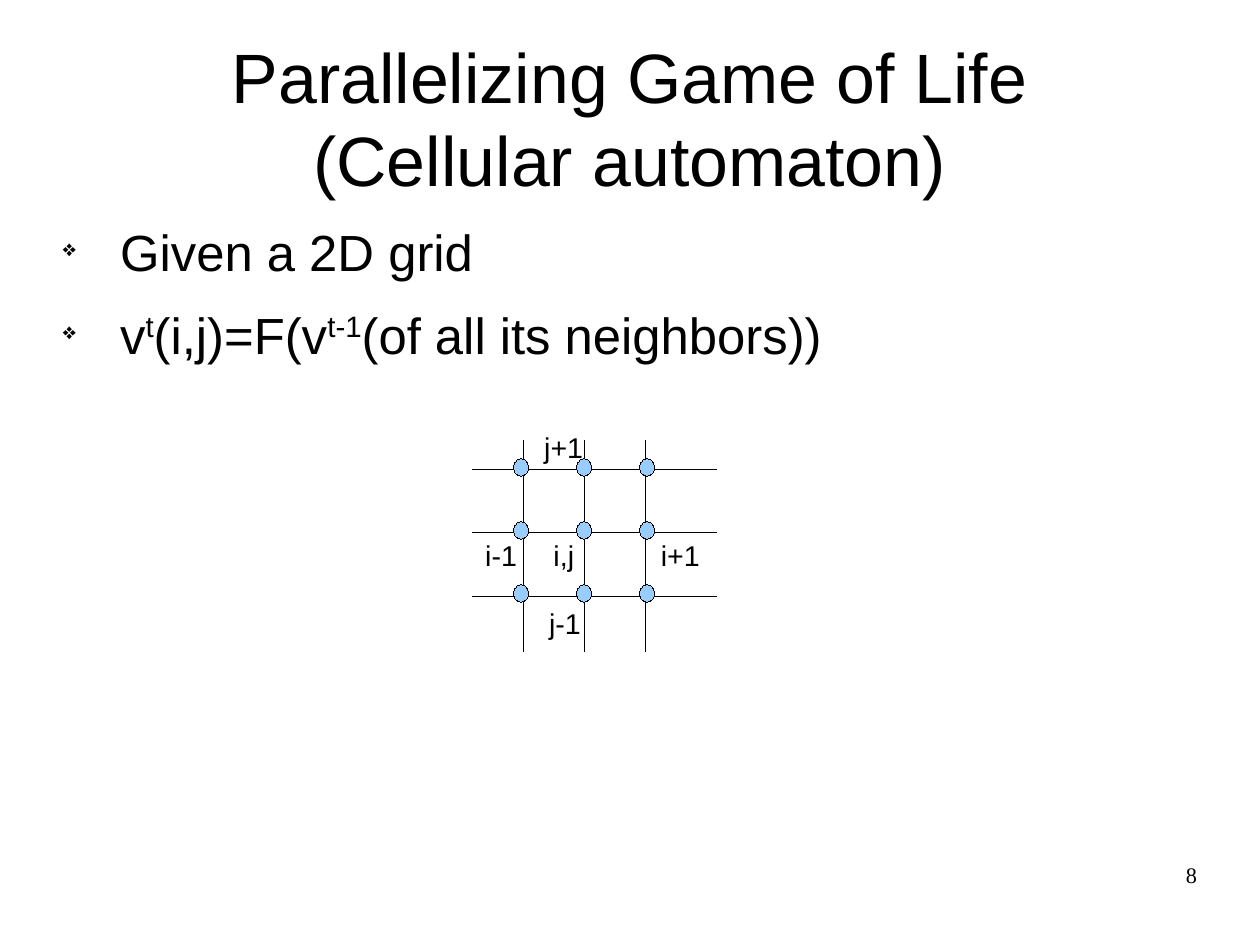
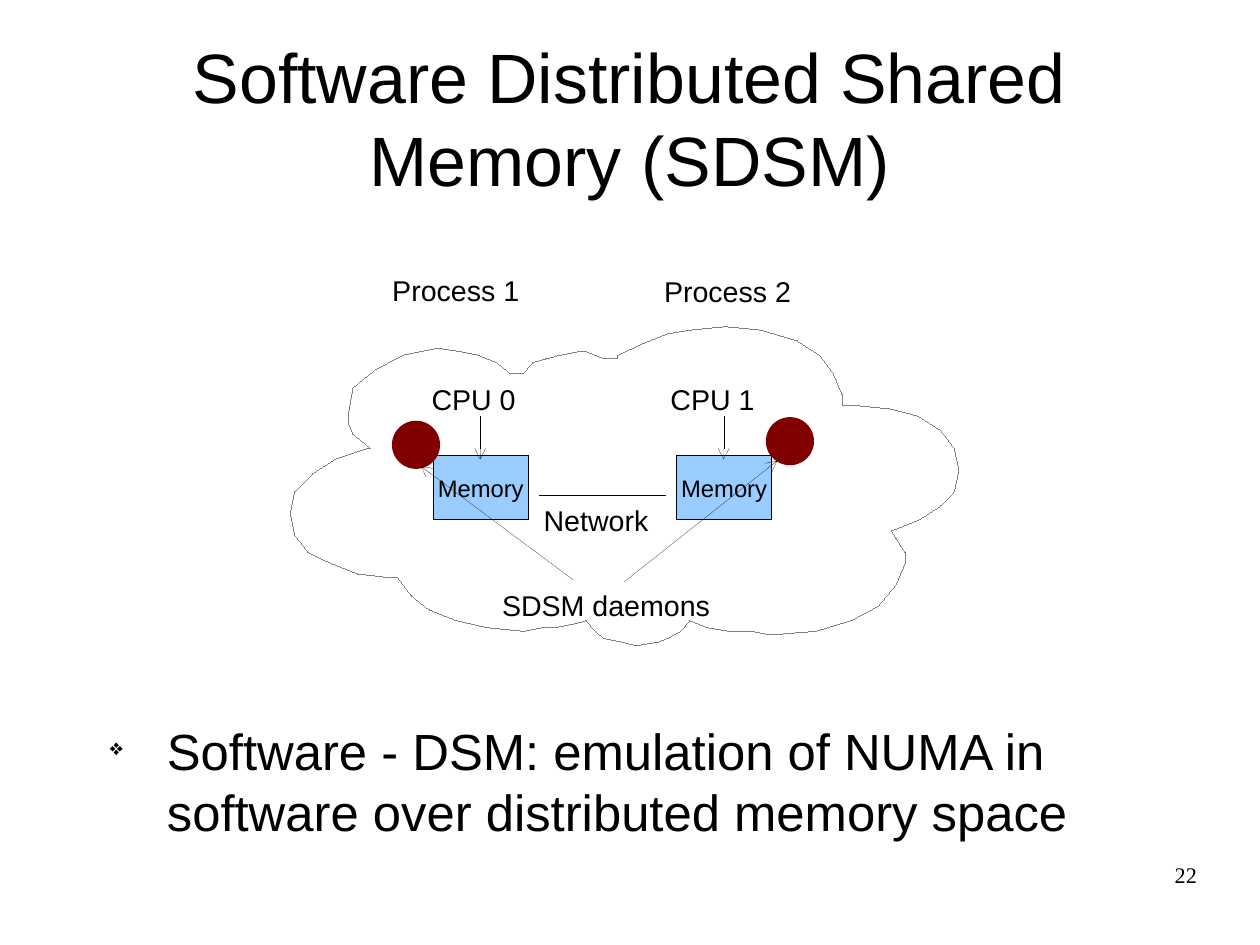
from lxml import etree
from pptx import Presentation
from pptx.dml.color import RGBColor
from pptx.enum.shapes import MSO_CONNECTOR, MSO_SHAPE
from pptx.enum.text import MSO_ANCHOR, MSO_AUTO_SIZE, PP_ALIGN
from pptx.oxml.ns import qn
from pptx.util import Cm, Pt

LINE = MSO_CONNECTOR.STRAIGHT
OVAL, RECT = MSO_SHAPE.OVAL, MSO_SHAPE.RECTANGLE
LEFT, MID, RIGHT = PP_ALIGN.LEFT, PP_ALIGN.CENTER, PP_ALIGN.RIGHT
CENTER, TOP = MSO_ANCHOR.MIDDLE, MSO_ANCHOR.TOP
GROW = MSO_AUTO_SIZE.SHAPE_TO_FIT_TEXT

HEX = {"ink": "000000", "blue": "99CCFF", "red": "800000", "gray": "808080"}
SANS, SERIF = "Arial", "Times New Roman"

CLOUD = [
    (134, 57), (135, 59), (136, 61), (137, 63), (137, 66), (135, 72),
    (131, 78), (125, 82), (117, 85), (107, 86), (103, 85), (98, 85),
    (93, 84), (89, 82), (87, 85), (84, 87), (82, 88), (77, 89), (74, 88),
    (70, 87), (68, 85), (66, 82), (63, 83), (59, 84), (56, 84), (52, 85),
    (44, 84), (37, 82), (31, 79), (27, 75), (24, 70), (22, 70), (15, 69),
    (9, 66), (4, 63), (1, 58), (0, 52), (1, 46), (5, 41), (10, 37),
    (17, 34), (18, 34), (16, 32), (14, 30), (13, 27), (13, 24), (14, 17),
    (19, 12), (25, 8), (33, 6), (38, 7), (42, 8), (46, 10), (49, 13),
    (52, 13), (54, 10), (57, 9), (60, 8), (64, 7), (66, 7), (68, 8),
    (70, 9), (73, 9), (73, 8), (78, 5), (84, 2), (89, 1), (97, 0),
    (105, 1), (113, 4), (118, 8), (121, 13), (123, 19), (123, 22),
    (126, 22), (134, 23), (140, 25), (145, 29), (148, 34), (149, 40),
    (148, 46), (145, 50), (140, 54),
]


def color(name):
    return RGBColor.from_string(HEX[name])


def style(para, size, align, font=SANS):
    para.alignment = align
    for run in para.runs:
        run.font.size = Pt(size)
        run.font.name = font
        run.font.color.rgb = color("ink")


def frame(slide, x, y, w, h, anchor=TOP):
    text = slide.shapes.add_textbox(Cm(x), Cm(y), Cm(w), Cm(h)).text_frame
    text.word_wrap = True
    text.vertical_anchor = anchor
    text.margin_left = text.margin_right = Cm(0)
    text.margin_top = text.margin_bottom = Cm(0)
    return text


def base(deck, title, number):
    slide = deck.slides.add_slide(deck.slide_layouts[6])
    para = frame(slide, 20.07, 19.13, 6.53, 1.45).paragraphs[0]
    para.text = number
    style(para, 14, RIGHT, SERIF)
    para = frame(slide, 1.4, 0.81, 25.2, 3.58, CENTER).paragraphs[0]
    para.text = title
    style(para, 44, MID)
    return slide


def bullets(slide, x, y, w, h, items):
    text = frame(slide, x, y, w, h)
    for i, parts in enumerate(items):
        para = text.add_paragraph() if i else text.paragraphs[0]
        for j, part in enumerate(parts):
            run = para.add_run()
            run.text = part
            if j % 2:
                run._r.get_or_add_rPr().set("baseline", "33000")
        style(para, 32, LEFT)
        para.space_after = Pt(14.2)
        props = para._p.get_or_add_pPr()
        props.set("marL", str(Cm(1.27)))
        props.set("indent", str(-Cm(1.27)))
        etree.SubElement(props, qn("a:buSzPct")).set("val", "45000")
        etree.SubElement(props, qn("a:buChar")).set("char", "❖")


def label(slide, x, y, w, words):
    text = slide.shapes.add_textbox(Cm(x), Cm(y), Cm(w), Cm(1)).text_frame
    text.word_wrap = False
    text.auto_size = GROW
    text.margin_left = Cm(0)
    text.paragraphs[0].text = words
    style(text.paragraphs[0], 18, RIGHT)


def thin(shape, name):
    shape.line.color.rgb = color(name)
    edge = shape.line._get_or_add_ln()
    edge.set("w", "0")
    return edge


def line(slide, x1, y1, x2, y2, arrow=False):
    link = slide.shapes.add_connector(LINE, Cm(x1), Cm(y1), Cm(x2), Cm(y2))
    edge = thin(link, "ink")
    if arrow:
        etree.SubElement(edge, qn("a:tailEnd")).set("type", "arrow")
    etree.SubElement(link._element.spPr, qn("a:effectLst"))


def paint(shape, fill, edge):
    shape.shadow.inherit = False
    if fill:
        shape.fill.solid()
        shape.fill.fore_color.rgb = color(fill)
    else:
        shape.fill.background()
    if edge:
        thin(shape, edge)
    else:
        shape.line.fill.background()


def solid(slide, kind, x, y, w, h, fill, edge=None):
    shape = slide.shapes.add_shape(kind, Cm(x), Cm(y), Cm(w), Cm(h))
    paint(shape, fill, edge)
    return shape


def mesh(slide, x, y, w, h):
    for i in range(3):
        col = x + 1.13 + 1.36 * i
        line(slide, col, y, col, y + h)
        row = y + 0.65 + 1.41 * i
        line(slide, x, row, x + w, row)
    for i in range(9):
        col, row = i % 3, i // 3
        solid(slide, OVAL, x + 0.91 + 1.4 * col, y + 0.41 + 1.4 * row,
              0.34, 0.39, "blue", "ink")
    for words, dx, dy, wide in [
        ("i-1", 0.02, 2.06, 1.22), ("j-1", 1.44, 3.56, 1.22),
        ("i+1", 3.93, 2.06, 1.37), ("j+1", 1.34, -0.36, 1.37),
        ("i,j", 1.54, 2.06, 0.97),
    ]:
        label(slide, x + dx, y + dy, wide, words)


def cloud(slide, x, y, w, h):
    path = slide.shapes.build_freeform(
        *CLOUD[0], scale=(Cm(w) / 149, Cm(h) / 89))
    path.add_line_segments(CLOUD[1:], close=True)
    paint(path.convert_to_shape(Cm(x), Cm(y)), None, "gray")


def node(slide, x, y):
    box = solid(slide, RECT, x, y, 2.11, 1.42, "blue", "ink")
    text = box.text_frame
    text.word_wrap = False
    text.vertical_anchor = CENTER
    text.paragraphs[0].text = "Memory"
    style(text.paragraphs[0], 15, MID)
    line(slide, x + 1.04, y - 0.88, x + 1.04, y + 0.08, True)


def network(slide, x, y, w, h):
    for i in range(2):
        label(slide, x + 2.9 + 5.31 * i, y + 1.1, 2.36, f"CPU {i}")
        node(slide, x + 3.18 + 5.41 * i, y + 2.87)
        label(slide, x + 2.01 + 6.04 * i, y - 1.32 + 0.03 * i, 3.33,
              f"Process {i + 1}")
        solid(slide, OVAL, x + 2.26 + 8.31 * i, y + 2.09 - 0.08 * i,
              1.07, 1.07, "red")
    cloud(slide, x, y, w, h)
    line(slide, x + 5.54, y + 3.76, x + 8.33, y + 3.74)
    label(slide, x + 5.39, y + 3.79, 2.82, "Network")
    label(slide, x + 4.4, y + 5.67, 5.18, "SDSM daemons")
    line(slide, x + 6.28, y + 5.62, x + 2.9, y + 3.1, True)
    line(slide, x + 7.42, y + 5.67, x + 10.82, y + 2.98, True)


def main():
    deck = Presentation()
    deck.slide_width, deck.slide_height = Cm(28), Cm(21)

    slide = base(deck, "Parallelizing Game of Life\n(Cellular automaton)", "8")
    bullets(slide, 1.4, 4.9, 25.2, 13.61, [
        ["Given a 2D grid"],
        ["v", "t", "(i,j)=F(v", "t-1", "(of all its neighbors))"],
    ])
    mesh(slide, 10.5, 9.78, 5.43, 4.7)

    slide = base(deck, "Software Distributed Shared Memory (SDSM)", "22")
    network(slide, 6.45, 7.26, 14.86, 7.09)
    bullets(slide, 2.44, 16, 25.2, 4.29, [
        ["Software - DSM: emulation of NUMA in software over "
         "distributed memory space"],
    ])
    deck.save("out.pptx")


if __name__ == "__main__":
    main()
